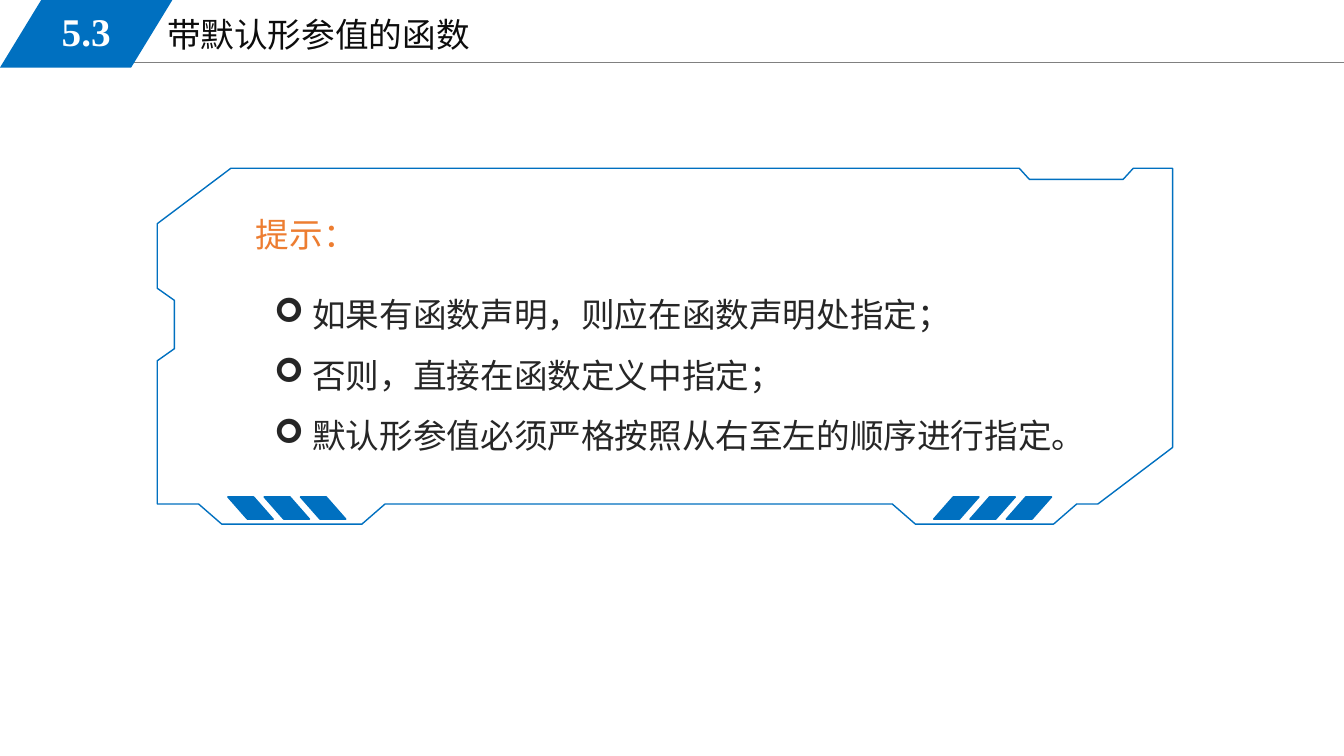
from lxml import etree
from pptx import Presentation
from pptx.dml.color import RGBColor
from pptx.enum.shapes import MSO_CONNECTOR, MSO_SHAPE
from pptx.enum.text import MSO_ANCHOR, MSO_AUTO_SIZE, PP_ALIGN
from pptx.oxml.ns import qn
from pptx.util import Pt

PX = 9144  # EMU per px, 100 px to the inch
FONT = "Times New Roman"
BLUE, GRAY, WHITE = "0070C0", "808080", "FFFFFF"
INK, BODY, ORANGE = "0D0D0D", "262626", "ED7D31"
STRAIGHT = MSO_CONNECTOR.STRAIGHT
PARALLELOGRAM = MSO_SHAPE.PARALLELOGRAM
CENTER, MIDDLE = PP_ALIGN.CENTER, MSO_ANCHOR.MIDDLE
GROW = MSO_AUTO_SIZE.SHAPE_TO_FIT_TEXT


def rgb(hex_color):
    return RGBColor.from_string(hex_color)


class SlideBuilder:
    def __init__(self, prs):
        self.shapes = prs.slides.add_slide(prs.slide_layouts[6]).shapes

    def paint(self, s, fill=None, line=None):
        s.shadow.inherit = False
        if fill:
            s.fill.solid()
            s.fill.fore_color.rgb = rgb(fill)
        else:
            s.fill.background()
        if line:
            s.line.color.rgb = rgb(line)
            s.line.width = Pt(1)
        else:
            s.line.fill.background()

    def rule(self, x1, y1, x2, y2, color):
        s = self.shapes.add_connector(STRAIGHT, x1 * PX, y1 * PX, x2 * PX, y2 * PX)
        s.line.color.rgb = rgb(color)
        s.line.width = Pt(0.75)
        etree.SubElement(s._element.spPr, qn("a:effectLst"))

    def parallelogram(self, x, y, w, h, adj, line=None, flip=False):
        s = self.shapes.add_shape(PARALLELOGRAM, x * PX, y * PX, w * PX, h * PX)
        s.adjustments[0] = adj
        if flip:
            s._element.spPr.xfrm.set("flipH", "1")
        self.paint(s, BLUE, line)

    def outline(self, points, color):
        fb = self.shapes.build_freeform(*points[0], scale=PX)
        fb.add_line_segments(points[1:], close=True)
        self.paint(fb.convert_to_shape(), line=color)

    def text(self, x, y, w, h, lines, color, size=24, bold=False, wrap=True,
             anchor=None, bullet=None, indent=(0, 0), **para):
        s = self.shapes.add_textbox(x * PX, y * PX, w * PX, h * PX)
        tf = s.text_frame
        tf.word_wrap = wrap
        tf.auto_size = GROW
        if anchor is not None:
            tf.vertical_anchor = anchor
        for i, line in enumerate(lines):
            p = tf.paragraphs[0] if i == 0 else tf.add_paragraph()
            for name, value in para.items():
                setattr(p, name, value)
            self.indent(p, *indent, bullet)
            r = p.add_run()
            r.text = line
            style = {"name": FONT, "size": Pt(size), "bold": bold}
            for name, value in style.items():
                setattr(r.font, name, value)
            r.font.color.rgb = rgb(color)

    def indent(self, p, left, first, bullet):
        pPr = p._p.get_or_add_pPr()
        pPr.set("marL", str(left * PX))
        pPr.set("indent", str(first * PX))
        if bullet:
            buClr = etree.SubElement(pPr, qn("a:buClr"))
            etree.SubElement(buClr, qn("a:srgbClr"), val=BODY)
            etree.SubElement(pPr, qn("a:buFont"), typeface="Wingdings")
            etree.SubElement(pPr, qn("a:buChar"), char=bullet)


def main():
    prs = Presentation()
    prs.slide_width, prs.slide_height = 1333 * PX, 750 * PX
    b = SlideBuilder(prs)

    # Header
    b.rule(113, 62, 1333, 62, GRAY)
    b.text(156, 9, 567, 51, ["带默认形参值的函数"], INK)
    b.parallelogram(0, 0, 171, 67, 0.61)
    b.text(25, 2, 121, 58, ["5.3"], WHITE, size=28, bold=True,
           anchor=MIDDLE, alignment=CENTER)

    # Rules for default parameter values
    b.text(262, 267, 967, 192,
           ["如果有函数声明，则应在函数声明处指定；",
            "否则，直接在函数定义中指定；",
            "默认形参值必须严格按照从右至左的顺序进行指定。"],
           BODY, bullet="➢", indent=(38, -38), line_spacing=1.5)

    # Notched frame, clockwise from the top left
    b.outline([(229, 167), (1011, 167), (1021, 178), (1114, 178), (1124, 167),
               (1163, 167), (1163, 444), (1089, 500), (1068, 500), (1045, 520),
               (908, 520), (885, 500), (382, 500), (359, 520), (220, 520),
               (197, 500), (156, 500), (156, 358), (173, 346), (173, 298),
               (156, 286), (156, 222)], BLUE)

    # Slanted bars in the two lower tabs
    for left, flip in ((926, False), (226, True)):
        for i in range(3):
            b.parallelogram(left + 36 * i, 493, 45, 22, 0.88, BLUE, flip)

    # Hint heading
    b.text(156, 197, 211, 56, ["提示："], ORANGE, wrap=False,
           indent=(0, 88), line_spacing=1.25)

    prs.save("out.pptx")


if __name__ == "__main__":
    main()
